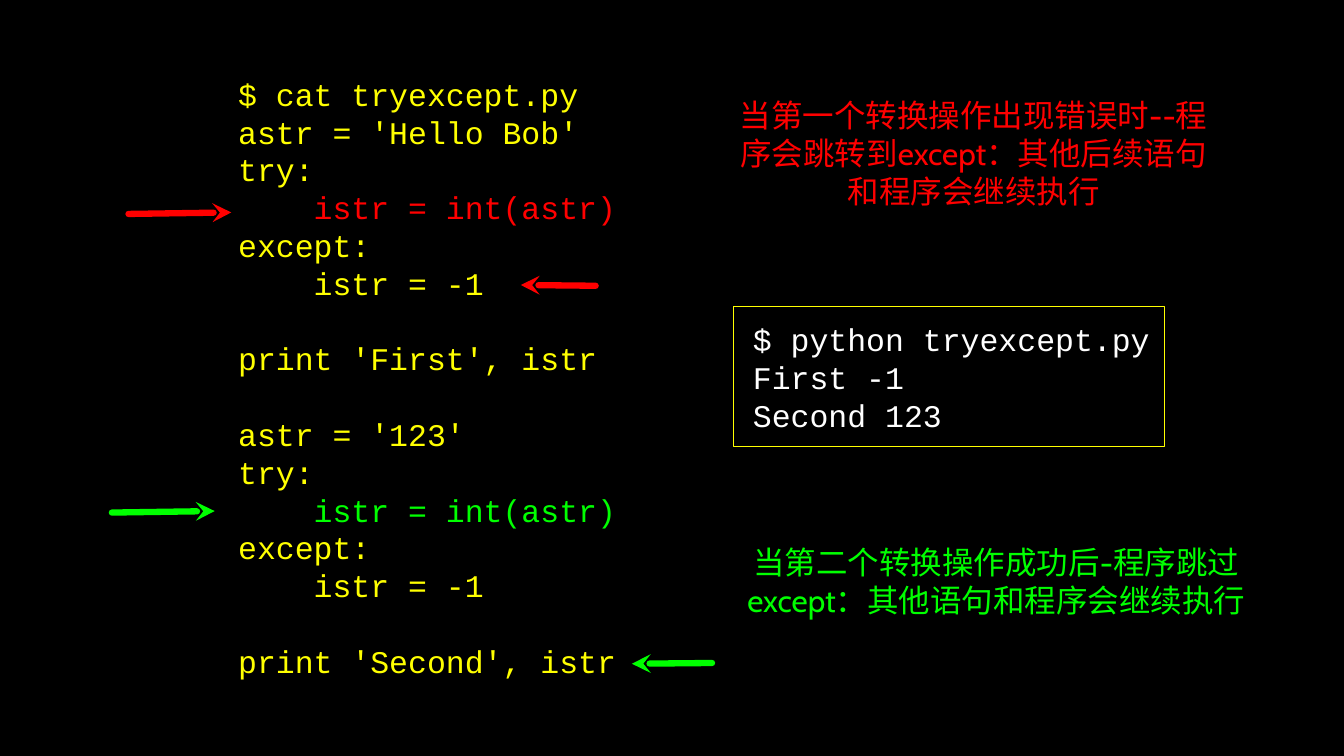
from dataclasses import dataclass
from typing import NamedTuple

from lxml.etree import SubElement
from pptx import Presentation
from pptx.dml.color import RGBColor
from pptx.enum.shapes import MSO_CONNECTOR, MSO_SHAPE
from pptx.enum.text import MSO_ANCHOR, PP_ALIGN
from pptx.oxml.ns import qn
from pptx.util import Inches, Pt


@dataclass(frozen=True)
class Theme:
    background: RGBColor = RGBColor(0x00, 0x00, 0x00)
    code: RGBColor = RGBColor(0xFF, 0xFF, 0x00)
    output: RGBColor = RGBColor(0xFF, 0xFF, 0xFF)
    failure: RGBColor = RGBColor(0xFF, 0x00, 0x00)
    success: RGBColor = RGBColor(0x00, 0xFF, 0x00)
    mono: str = "Courier New"
    sans: str = "Cabin"
    size: Pt = Pt(30)
    leading: Pt = Pt(36)
    border: Pt = Pt(1)
    arrow: Pt = Pt(6)


THEME = Theme()


class Box(NamedTuple):
    left: float
    top: float
    width: float
    height: float


class Line(NamedTuple):
    text: str
    color: RGBColor
    gap: bool = False  # one empty line's worth of space above


class Note(NamedTuple):
    box: Box
    text: str
    color: RGBColor


class Arrow(NamedTuple):
    tip: tuple[float, float]
    tail: tuple[float, float]
    color: RGBColor


CODE_BOX = Box(3.15, 0.38, 5.69, 9.22)
CODE = [
    Line("$ cat tryexcept.py", THEME.code),
    Line("astr = 'Hello Bob'", THEME.code),
    Line("try:", THEME.code),
    Line("    istr = int(astr)", THEME.failure),
    Line("except:", THEME.code),
    Line("    istr = -1", THEME.code),
    Line("print 'First', istr", THEME.code, gap=True),
    Line("astr = '123'", THEME.code, gap=True),
    Line("try:", THEME.code),
    Line("    istr = int(astr)", THEME.success),
    Line("except:", THEME.code),
    Line("    istr = -1", THEME.code),
    Line("print 'Second', istr", THEME.code, gap=True),
]

OUTPUT_BOX = Box(9.71, 4.06, 5.69, 1.85)
OUTPUT = [
    Line(text, THEME.output)
    for text in ("$ python tryexcept.py", "First -1", "Second 123")
]

NOTES = [
    Note(Box(9.66, 1.24, 6.44, 1.57),
         "当第一个转换操作出现错误时--程序会跳转到except：其他后续语句和程序会继续执行",
         THEME.failure),
    Note(Box(9.66, 6.9, 7.04, 1.57),
         "当第二个转换操作成功后-程序跳过except：其他语句和程序会继续执行",
         THEME.success),
]

ARROWS = [
    Arrow((3.06, 2.81), (1.7, 2.83), THEME.failure),
    Arrow((6.89, 3.77), (7.88, 3.78), THEME.failure),
    Arrow((2.84, 6.76), (1.48, 6.78), THEME.success),
    Arrow((8.36, 8.78), (9.42, 8.77), THEME.success),
]


def write_lines(sp, lines: list[Line], font: str, align=PP_ALIGN.LEFT, indent: float = 0) -> None:
    tf = sp.text_frame
    tf.word_wrap = True
    tf.vertical_anchor = MSO_ANCHOR.MIDDLE
    tf.margin_left = Inches(indent)
    tf.margin_top = tf.margin_right = tf.margin_bottom = 0
    for i, line in enumerate(lines):
        p = tf.paragraphs[0] if i == 0 else tf.add_paragraph()
        p.alignment = align
        p.line_spacing = THEME.leading
        if line.gap:
            p.space_before = THEME.leading
        r = p.add_run()
        r.text = line.text
        r.font.name = font
        r.font.size = THEME.size
        r.font.color.rgb = line.color


def add_text(s, box: Box, lines: list[Line], font: str, align=PP_ALIGN.LEFT) -> None:
    sp = s.shapes.add_textbox(*map(Inches, box))
    write_lines(sp, lines, font, align)


def add_output(s) -> None:
    sp = s.shapes.add_shape(MSO_SHAPE.RECTANGLE, *map(Inches, OUTPUT_BOX))
    sp.shadow.inherit = False
    sp.fill.background()
    sp.line.color.rgb = THEME.code
    sp.line.width = THEME.border
    write_lines(sp, OUTPUT, THEME.mono, indent=0.25)


def add_arrow(s, arrow: Arrow) -> None:
    sp = s.shapes.add_connector(
        MSO_CONNECTOR.STRAIGHT, *map(Inches, arrow.tip + arrow.tail))
    sp.line.color.rgb = arrow.color
    sp.line.width = THEME.arrow
    ln = sp.line._get_or_add_ln()
    ln.set("cap", "rnd")
    SubElement(ln, qn("a:headEnd"), type="stealth")
    SubElement(sp._element.spPr, qn("a:effectLst"))


def main() -> None:
    prs = Presentation()
    prs.slide_width, prs.slide_height = Inches(17.78), Inches(10)
    s = prs.slides.add_slide(prs.slide_layouts[6])
    s.background.fill.solid()
    s.background.fill.fore_color.rgb = THEME.background

    add_text(s, CODE_BOX, CODE, THEME.mono)
    add_output(s)
    for note in NOTES:
        add_text(s, note.box, [Line(note.text, note.color)], THEME.sans, PP_ALIGN.CENTER)
    for arrow in ARROWS:
        add_arrow(s, arrow)
    prs.save("out.pptx")


if __name__ == "__main__":
    main()
